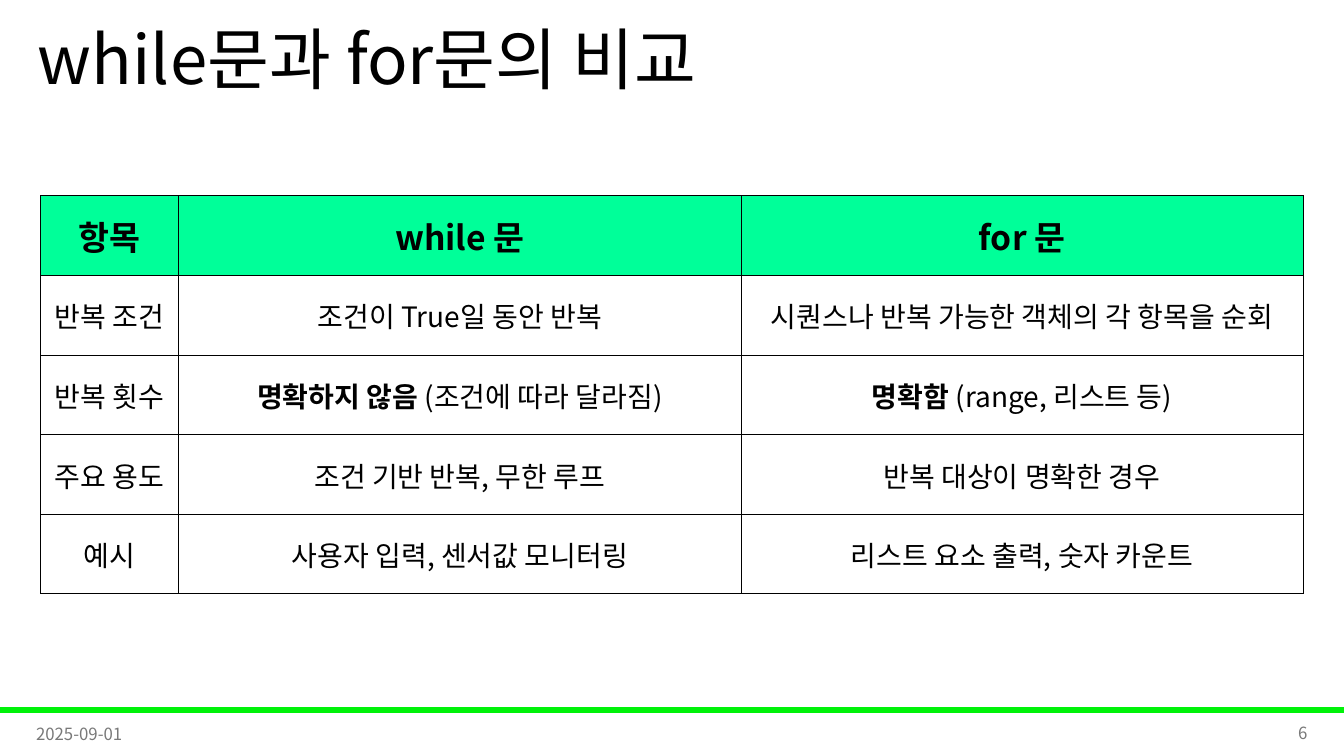
from lxml.etree import SubElement
from pptx import Presentation
from pptx.dml.color import RGBColor
from pptx.enum.shapes import MSO_SHAPE
from pptx.enum.text import MSO_ANCHOR, PP_ALIGN
from pptx.oxml import parse_xml
from pptx.oxml.ns import nsdecls, qn
from pptx.util import Pt

HEADER = ["항목", "while 문", "for 문"]
ROWS = [
    ["반복 조건", "조건이 True일 동안 반복", "시퀀스나 반복 가능한 객체의 각 항목을 순회"],
    ["반복 횟수", ("명확하지 않음 ", "(조건에 따라 달라짐)"), ("명확함 ", "(range, 리스트 등)")],
    ["주요 용도", "조건 기반 반복, 무한 루프", "반복 대상이 명확한 경우"],
    ["예시", "사용자 입력, 센서값 모니터링", "리스트 요소 출력, 숫자 카운트"],
]


def color(value):
    return RGBColor.from_string(value)


class SlideBuilder:
    font_name = "Noto Sans CJK KR"
    black = "000000"
    gray = "797979"
    bar_green = "00F209"
    header_green = "00FF99"

    def __init__(self, slide):
        self.slide = slide

    def add_run(self, paragraph, text, size, text_color, bold=False):
        run = paragraph.add_run()
        run.text = text
        font = run.font
        font.size = Pt(size)
        font.bold = bold
        font.color.rgb = color(text_color)
        font.name = self.font_name
        SubElement(font._element, qn("a:ea"), typeface=self.font_name)

    def add_text(self, text, left, top, width, height, size, text_color,
                 alignment=PP_ALIGN.LEFT, line_spacing=1.0):
        shape = self.slide.shapes.add_textbox(Pt(left), Pt(top), Pt(width), Pt(height))
        frame = shape.text_frame
        frame.word_wrap = True
        frame.vertical_anchor = MSO_ANCHOR.MIDDLE
        paragraph = frame.paragraphs[0]
        paragraph.alignment = alignment
        paragraph.line_spacing = line_spacing
        self.add_run(paragraph, text, size, text_color)

    def add_bar(self, left, top, width, height):
        shape = self.slide.shapes.add_shape(
            MSO_SHAPE.RECTANGLE, Pt(left), Pt(top), Pt(width), Pt(height))
        shape.shadow.inherit = False
        shape.fill.solid()
        shape.fill.fore_color.rgb = color(self.bar_green)
        shape.line.color.rgb = color(self.bar_green)
        shape.line.width = Pt(1)

    def add_borders(self, cell):
        properties = cell._tc.get_or_add_tcPr()
        for index, side in enumerate(("lnL", "lnR", "lnT", "lnB")):
            properties.insert(index, parse_xml(
                f'<a:{side} {nsdecls("a")} w="{Pt(0.5)}"><a:solidFill>'
                f'<a:srgbClr val="{self.black}"/></a:solidFill></a:{side}>'))

    def fill_cell(self, cell, content, is_header):
        cell.vertical_anchor = MSO_ANCHOR.MIDDLE
        cell.margin_left = cell.margin_right = cell.margin_top = Pt(0.75)
        cell.margin_bottom = 0
        if is_header:
            cell.fill.solid()
            cell.fill.fore_color.rgb = color(self.header_green)
        else:
            cell.fill.background()
        self.add_borders(cell)
        paragraph = cell.text_frame.paragraphs[0]
        paragraph.alignment = PP_ALIGN.CENTER
        size = 24 if is_header else 20
        if isinstance(content, tuple):
            emphasis, detail = content
            self.add_run(paragraph, emphasis, size, self.black, bold=True)
            self.add_run(paragraph, detail, size, self.black)
        else:
            self.add_run(paragraph, content, size, self.black, bold=is_header)

    def add_table(self, rows, left, top, column_widths, row_height):
        table = self.slide.shapes.add_table(
            len(rows), len(column_widths), Pt(left), Pt(top),
            Pt(sum(column_widths)), Pt(row_height * len(rows))).table
        table.horz_banding = False
        for column, width in zip(table.columns, column_widths):
            column.width = Pt(width)
        for row_index, contents in enumerate(rows):
            table.rows[row_index].height = Pt(row_height)
            for column_index, content in enumerate(contents):
                self.fill_cell(table.cell(row_index, column_index), content, row_index == 0)


def main():
    presentation = Presentation()
    presentation.slide_width = Pt(960)
    presentation.slide_height = Pt(540)
    builder = SlideBuilder(presentation.slides.add_slide(presentation.slide_layouts[6]))
    builder.add_bar(0, 505.4, 960, 3.6)
    builder.add_text("while문과 for문의 비교", 20, 0, 828, 90, 48, builder.black,
                     line_spacing=0.9)
    builder.add_text("2025-09-01", 18.7, 509.6, 216, 28.8, 12, builder.gray)
    builder.add_text("6", 725, 509, 216, 28.8, 12, builder.gray, PP_ALIGN.RIGHT)
    builder.add_table([HEADER] + ROWS, 28.8, 139.7, [98.9, 401.6, 401.6], 56.9)
    presentation.save("out.pptx")


if __name__ == "__main__":
    main()
